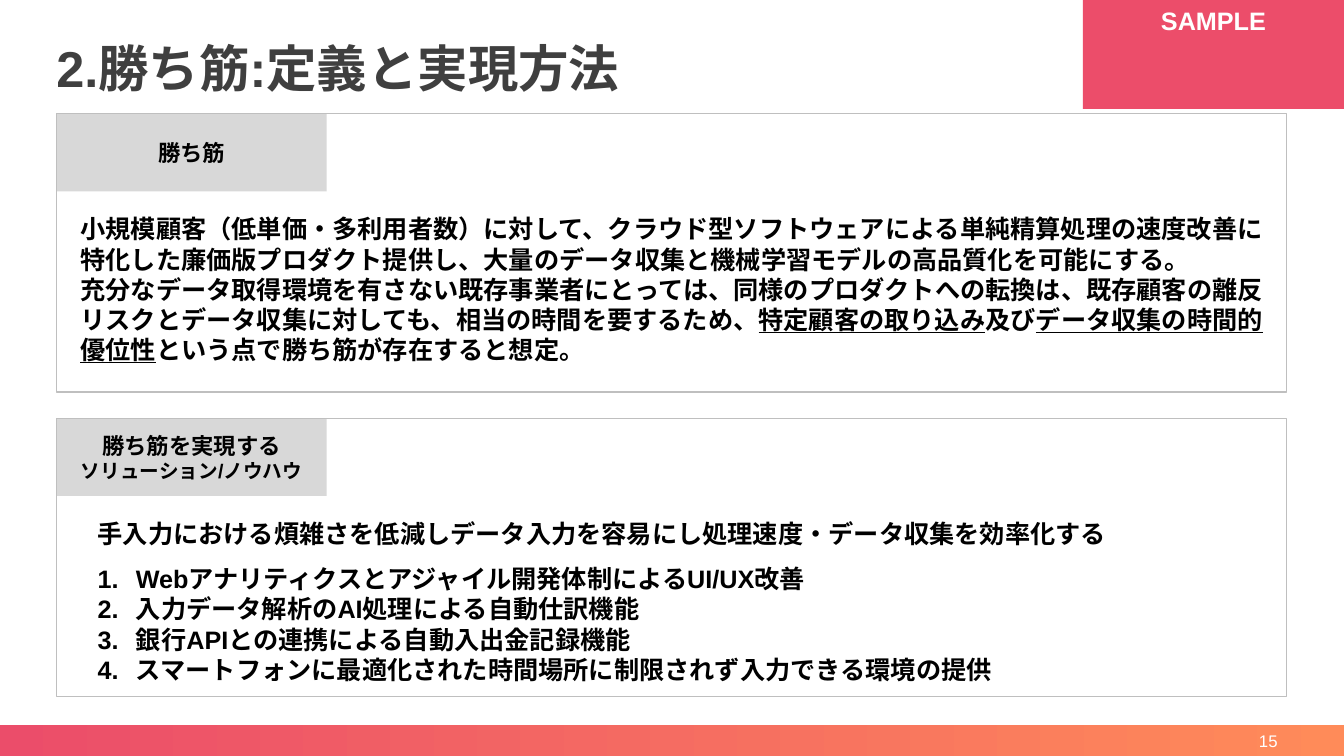
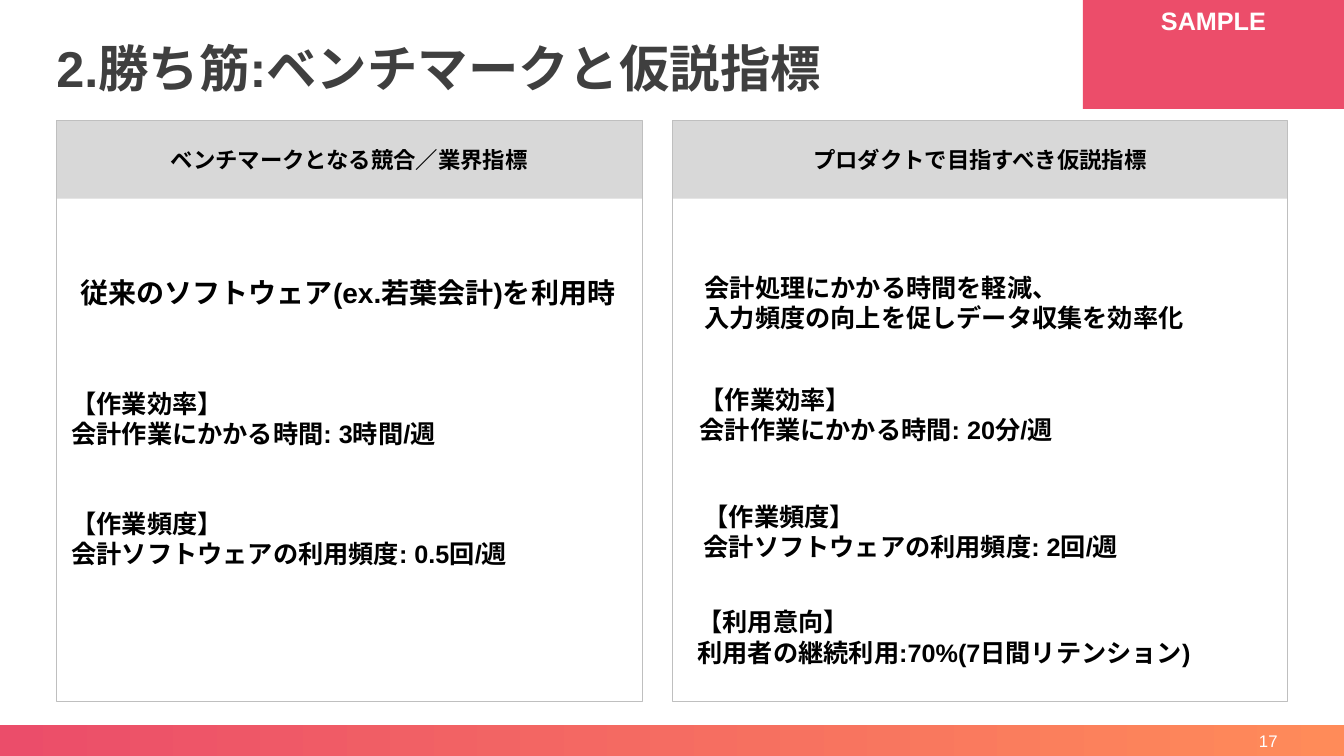
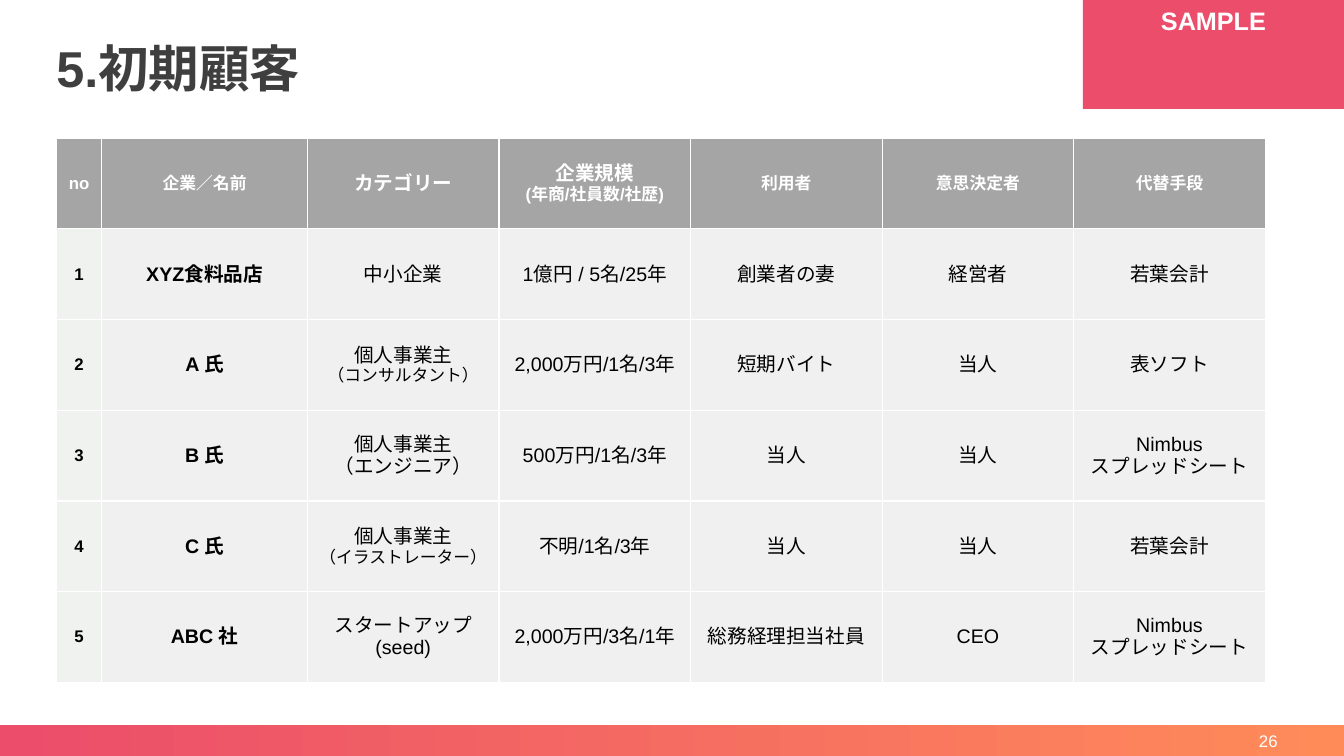
import pptx
import pptx.dml.color
import pptx.enum.lang
import pptx.enum.shapes
import pptx.enum.text
import pptx.oxml
import pptx.oxml.ns
import pptx.util
import lxml.etree

Inches = pptx.util.Inches
Pt = pptx.util.Pt
RGBColor = pptx.dml.color.RGBColor
ALIGN = pptx.enum.text.PP_ALIGN
ANCHOR = pptx.enum.text.MSO_ANCHOR
RECTANGLE = pptx.enum.shapes.MSO_SHAPE.RECTANGLE
qn = pptx.oxml.ns.qn

PINK = RGBColor(0xEC, 0x4D, 0x6A)
BAND_START = RGBColor(0xEB, 0x4D, 0x6A)
BAND_END = RGBColor(0xFF, 0x8B, 0x59)
TITLE_GREY = RGBColor(0x3F, 0x3F, 0x3F)
TAB_GREY = RGBColor(0xD8, 0xD8, 0xD8)
FRAME_GREY = RGBColor(0xBF, 0xBF, 0xBF)
HEADER_GREY = RGBColor(0xA5, 0xA5, 0xA5)
NUMBER_CELL = RGBColor(0xF0, 0xF2, 0xF0)
BODY_CELL = RGBColor(0xF0, 0xF0, 0xF0)
BLACK = RGBColor(0, 0, 0)
WHITE = RGBColor(0xFF, 0xFF, 0xFF)

FONT = "Arial"
LEFT = 0.56
CONTENT_WIDTH = 12.2
TAB_HEIGHT = 0.77
UNDERLINE = {"underline": True}


class SlideBuilder:
    def __init__(self):
        self.deck = pptx.Presentation()
        self.deck.slide_width = Inches(13.33)
        self.deck.slide_height = Inches(7.5)
        self.page = None

    def start(self, title, number):
        self.page = self.deck.slides.add_slide(self.deck.slide_layouts[6])
        band = self.rectangle(0, 7.19, 13.33, 0.31)
        band.fill.gradient()
        band.fill.gradient_angle = 0
        for stop, color in zip(band.fill.gradient_stops, (BAND_START, BAND_END)):
            stop.color.rgb = color
        heading = self.text(LEFT, 0.29, CONTENT_WIDTH, 0.69, [title], size=36,
                            color=TITLE_GREY, anchor=ANCHOR.BOTTOM, inset=False)
        heading.text_frame.paragraphs[0].line_spacing = 0.9
        self.text(9.77, 7.18, 3, 0.34, [number], size=12, color=WHITE, bold=False,
                  align=ALIGN.RIGHT, anchor=ANCHOR.MIDDLE)
        badge = self.rectangle(10.74, 0, 2.59, 1.08, fill=PINK)
        self.set_lines(badge.text_frame, ["SAMPLE"], color=WHITE, align=ALIGN.CENTER)

    def rectangle(self, left, top, width, height, fill=None, line=None):
        shape = self.page.shapes.add_shape(
            RECTANGLE, Inches(left), Inches(top), Inches(width), Inches(height))
        shape.shadow.inherit = False
        if fill is None:
            shape.fill.background()
        else:
            shape.fill.solid()
            shape.fill.fore_color.rgb = fill
        if line is None:
            shape.line.fill.background()
        else:
            shape.line.color.rgb = line
            shape.line.width = Pt(0.75)
        return shape

    def set_lines(self, frame, lines, size=18, color=BLACK, bold=True,
                  align=ALIGN.LEFT, anchor=ANCHOR.TOP):
        frame.word_wrap = True
        frame.vertical_anchor = anchor
        for index, line in enumerate(lines):
            para = frame.add_paragraph() if index else frame.paragraphs[0]
            para.alignment = align
            for content in line if isinstance(line, list) else [line]:
                words, changes = content if isinstance(content, tuple) else (content, {})
                style = {"name": FONT, "size": size, "bold": bold,
                         "language_id": pptx.enum.lang.MSO_LANGUAGE_ID.JAPANESE}
                style.update(changes)
                style["size"] = Pt(style["size"])
                span = para.add_run()
                span.text = words
                span.font.color.rgb = color
                for name, value in style.items():
                    setattr(span.font, name, value)
                latin = span.font._element.find(qn("a:latin"))
                east_asian = lxml.etree.Element(qn("a:ea"), typeface=FONT)
                latin.addnext(east_asian)

    def text(self, left, top, width, height, lines, inset=True, **style):
        box = self.page.shapes.add_textbox(
            Inches(left), Inches(top), Inches(width), Inches(height))
        if not inset:
            for side in ("left", "top", "right", "bottom"):
                setattr(box.text_frame, "margin_" + side, 0)
        self.set_lines(box.text_frame, lines, **style)
        return box

    def numbered(self, left, top, width, height, lines):
        box = self.text(left, top, width, height, lines)
        for para in box.text_frame.paragraphs:
            properties = para._p.get_or_add_pPr()
            properties.set("marL", str(Inches(0.38)))
            properties.set("indent", str(-Inches(0.38)))
            lxml.etree.SubElement(properties, qn("a:buFont"), typeface=FONT)
            lxml.etree.SubElement(properties, qn("a:buAutoNum"), type="arabicPeriod")

    def panel(self, left, top, width, height, tab_width, label):
        tab = self.rectangle(left, top, tab_width, TAB_HEIGHT, fill=TAB_GREY)
        self.set_lines(tab.text_frame, label, size=16, align=ALIGN.CENTER,
                       anchor=ANCHOR.MIDDLE)
        self.rectangle(left, top, width, height, line=FRAME_GREY)

    def table(self, left, top, widths, row_height, rows):
        grid = self.page.shapes.add_table(
            len(rows), len(widths), Inches(left), Inches(top),
            Inches(sum(widths)), Inches(row_height * len(rows))).table
        grid.first_row = False
        grid.horz_banding = False
        for column, width in zip(grid.columns, widths):
            column.width = Inches(width)
        for row_index, row in enumerate(rows):
            grid.rows[row_index].height = Inches(row_height)
            for column_index, lines in enumerate(row):
                self.cell(grid.cell(row_index, column_index), lines,
                          row_index == 0, column_index)

    def cell(self, cell, lines, is_header, column_index):
        is_number = column_index == 0
        self.set_lines(cell.text_frame, lines if isinstance(lines, list) else [lines],
                       size=12 if is_header or is_number else 14,
                       color=WHITE if is_header else BLACK,
                       bold=is_header or column_index < 2, align=ALIGN.CENTER)
        cell.vertical_anchor = ANCHOR.MIDDLE
        properties = cell._tc.get_or_add_tcPr()
        for side in ("a:lnL", "a:lnR", "a:lnT", "a:lnB"):
            border = lxml.etree.SubElement(properties, qn(side), w=str(Pt(1)))
            solid = lxml.etree.SubElement(border, qn("a:solidFill"))
            lxml.etree.SubElement(solid, qn("a:srgbClr"), val=str(WHITE))
        cell.fill.solid()
        cell.fill.fore_color.rgb = (
            HEADER_GREY if is_header else NUMBER_CELL if is_number else BODY_CELL)


def add_definition(builder):
    builder.start("2.勝ち筋:定義と実現方法", "15")
    labels = (["勝ち筋"],
              ["勝ち筋を実現する", ("ソリューション/ノウハウ", {"size": 14})])
    for top, label in zip((1.13, 4.15), labels):
        builder.panel(LEFT, top, CONTENT_WIDTH, 2.76, 2.68, label)
    builder.text(0.7, 1.87, 12.07, 2, [
        "小規模顧客（低単価・多利用者数）に対して、クラウド型ソフトウェアによる"
        "単純精算処理の速度改善に特化した廉価版プロダクト提供し、"
        "大量のデータ収集と機械学習モデルの高品質化を可能にする。",
        ["充分なデータ取得環境を有さない既存事業者にとっては、"
         "同様のプロダクトへの転換は、既存顧客の離反リスクとデータ収集に対しても、"
         "相当の時間を要するため、",
         ("特定顧客の取り込み", UNDERLINE), "及び",
         ("データ収集の時間的優位性", UNDERLINE),
         "という点で勝ち筋が存在すると想定。"],
    ], anchor=ANCHOR.MIDDLE)
    builder.text(0.87, 5.09, 10.23, 0.4, [
        "手入力における煩雑さを低減しデータ入力を容易にし処理速度・データ収集を効率化する"])
    builder.numbered(0.87, 5.54, 11.14, 1.31, [
        "Webアナリティクスとアジャイル開発体制によるUI/UX改善",
        "入力データ解析のAI処理による自動仕訳機能",
        "銀行APIとの連携による自動入出金記録機能",
        "スマートフォンに最適化された時間場所に制限されず入力できる環境の提供"])


def add_benchmark(builder):
    builder.start("2.勝ち筋:ベンチマークと仮説指標", "17")
    for left, width, label in ((LEFT, 5.81, "ベンチマークとなる競合／業界指標"),
                               (6.67, 6.1, "プロダクトで目指すべき仮説指標")):
        builder.panel(left, 1.2, width, 5.76, width, [label])
    builder.text(0.7, 2.68, 5.67, 0.77,
                 ["従来のソフトウェア(ex.若葉会計)を利用時"], size=20)
    notes = (
        (0.61, 3.8, "【作業効率】", "会計作業にかかる時間: 3時間/週"),
        (0.61, 4.99, "【作業頻度】", "会計ソフトウェアの利用頻度: 0.5回/週"),
        (6.89, 2.65, "会計処理にかかる時間を軽減、", "入力頻度の向上を促しデータ収集を効率化"),
        (6.84, 3.76, "【作業効率】", "会計作業にかかる時間: 20分/週"),
        (6.88, 4.92, "【作業頻度】", "会計ソフトウェアの利用頻度: 2回/週"),
        (6.82, 5.97, "【利用意向】", "利用者の継続利用:70%(7日間リテンション)"))
    for left, top, *lines in notes:
        builder.text(left, top, 5.81, 0.71, lines)


def add_customers(builder):
    builder.start("5.初期顧客", "26")
    small, large = {"size": 12}, {"size": 14}
    owner = "個人事業主"
    online_sheet = ["Nimbus", "スプレッドシート"]
    builder.table(LEFT, 1.37, [0.45, 2.04] + [1.9] * 5, 0.9, [
        ["no", "企業／名前", ("カテゴリー", large),
         [("企業規模", large), "(年商/社員数/社歴)"], "利用者", "意思決定者", "代替手段"],
        ["1", "XYZ食料品店", "中小企業", "1億円 / 5名/25年",
         "創業者の妻", "経営者", "若葉会計"],
        ["2", "A 氏", [owner, ("（コンサルタント）", small)], "2,000万円/1名/3年",
         "短期バイト", "当人", "表ソフト"],
        ["3", "B 氏", [owner, "（エンジニア）"], "500万円/1名/3年",
         "当人", "当人", online_sheet],
        ["4", "C 氏", [owner, ("（イラストレーター）", small)], "不明/1名/3年",
         "当人", "当人", "若葉会計"],
        ["5", "ABC 社", ["スタートアップ", "(seed)"], "2,000万円/3名/1年",
         "総務経理担当社員", "CEO", online_sheet]])


def main():
    builder = SlideBuilder()
    for add_page in (add_definition, add_benchmark, add_customers):
        add_page(builder)
    builder.deck.save("out.pptx")


if __name__ == "__main__":
    main()
